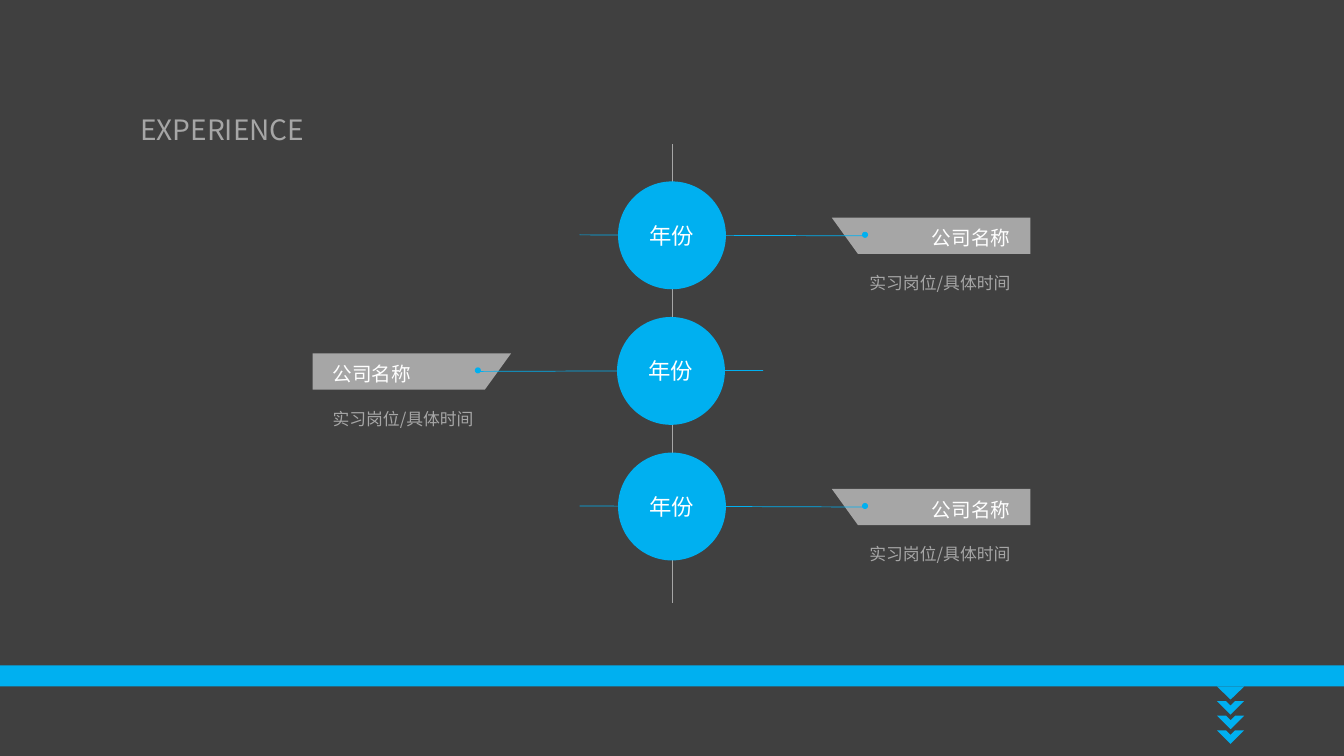
from lxml import etree
from pptx import Presentation
from pptx import util as u
from pptx.dml.color import RGBColor
from pptx.enum import shapes, text
from pptx.oxml.ns import qn

FONT = "Noto Sans CJK SC"
DARK, GREY, BLUE, WHITE = "404040", "A6A6A6", "00B0F0", "FFFFFF"
KIND, ALIGN = shapes.MSO_SHAPE, text.PP_ALIGN


def paint(sp, color):
    """Flat fill or thin line in one colour, without shadow."""
    rgb = RGBColor.from_string(color)
    if sp.shape_type == shapes.MSO_SHAPE_TYPE.LINE:
        sp.line.color.rgb, sp.line.width = rgb, u.Pt(0.5)
        etree.SubElement(sp._element.spPr, qn("a:effectLst"))
    else:
        sp.fill.solid()
        sp.fill.fore_color.rgb = rgb
        sp.line.fill.background()
        sp.shadow.inherit = False
    return sp


def write(sp, words, size, color, anchor, **para):
    tf = sp.text_frame
    tf.word_wrap, tf.vertical_anchor = True, anchor
    p = tf.paragraphs[0]
    for name, value in para.items():
        setattr(p, name, value)
    r = p.add_run()
    r.text = words
    for name, value in {"size": u.Pt(size), "name": FONT, "bold": False}.items():
        setattr(r.font, name, value)
    r.font.color.rgb = RGBColor.from_string(color)
    etree.SubElement(r.font._element, qn("a:ea"), typeface=FONT)


prs = Presentation()
prs.slide_width, prs.slide_height = u.Inches(13.33), u.Inches(7.5)
s = prs.slides.add_slide(prs.slide_layouts[5])

# Dark backdrop, behind the title
backdrop = s.shapes.add_shape(KIND.RECTANGLE, 0, 0, prs.slide_width, prs.slide_height)
paint(backdrop, DARK)
title = s.shapes.title
title._element.addprevious(backdrop._element)

# Title
box = {"left": 1.29, "top": 0.89, "width": 2.97, "height": 0.61}
for name, value in box.items():
    setattr(title, name, u.Inches(value))
write(title, "EXPERIENCE", 20, GREY, text.MSO_ANCHOR.BOTTOM, alignment=ALIGN.LEFT)

# Vertical axis
axis = s.shapes.add_connector(shapes.MSO_CONNECTOR.STRAIGHT, u.Inches(6.67), u.Inches(1.43),
                              u.Inches(6.67), u.Inches(5.98))
paint(axis, GREY)

# Timeline entries: every second one is mirrored to the left
MIRROR = 13.32
for i in range(3):
    top = 1.8 + 1.345 * i
    left_side = i % 2 == 1
    align = ALIGN.LEFT if left_side else ALIGN.RIGHT
    grp = s.shapes.add_group_shape().shapes

    # Banner with a slanted inner end
    corners = [(10.22, 0.36), (8.25, 0.36), (8.51, 0.72), (10.22, 0.72)]
    points = [(u.Inches(MIRROR - x if left_side else x), u.Inches(top + dy))
              for x, dy in corners]
    fb = grp.build_freeform(*points[0], scale=1.0)
    fb.add_line_segments(points[1:], close=True)
    paint(fb.convert_to_shape(), GREY)

    # Company and position
    for words, x, dy, width, size, color in [("公司名称", 8.25, 0.28, 1.87, 14, WHITE),
                                             ("实习岗位/具体时间", 7.81, 0.76, 2.31, 12, GREY)]:
        x = MIRROR - x - width if left_side else x
        tb = grp.add_textbox(u.Inches(x), u.Inches(top + dy), u.Inches(width), u.Inches(0.53))
        write(tb, words, size, color, text.MSO_ANCHOR.TOP,
              alignment=align, line_spacing=1.5, space_before=u.Pt(10))

    # Connecting line
    x1, x2 = [MIRROR - x if left_side else x for x in (5.75, 8.58)]
    paint(grp.add_connector(shapes.MSO_CONNECTOR.STRAIGHT, u.Inches(x1), u.Inches(top + 0.53),
                            u.Inches(x2), u.Inches(top + 0.54)), BLUE)

    # End dot and year circle
    for x, dy, size in [(8.55, 0.5, 0.06), (6.13, 0, 1.07)]:
        x = MIRROR - x - size if left_side else x
        circle = paint(grp.add_shape(KIND.OVAL, u.Inches(x), u.Inches(top + dy),
                                     u.Inches(size), u.Inches(size)), BLUE)
    write(circle, "年份", 16, WHITE, text.MSO_ANCHOR.MIDDLE, alignment=ALIGN.CENTER)

# Bottom band with its pointer and chevrons
footer = [(KIND.RECTANGLE, 0, 6.6, 13.33, 0.21, 0)]
footer += [(KIND.HALF_FRAME, 12.11, 6.86 + 0.145 * i, 0.19, 0.19, 225) for i in range(3)]
footer += [(KIND.ISOSCELES_TRIANGLE, 12.07, 6.81, 0.27, 0.13, 180)]
for kind, x, y, w, h, turn in footer:
    sp = s.shapes.add_shape(kind, u.Inches(x), u.Inches(y), u.Inches(w), u.Inches(h))
    sp.rotation = turn
    paint(sp, BLUE)

prs.save("out.pptx")
